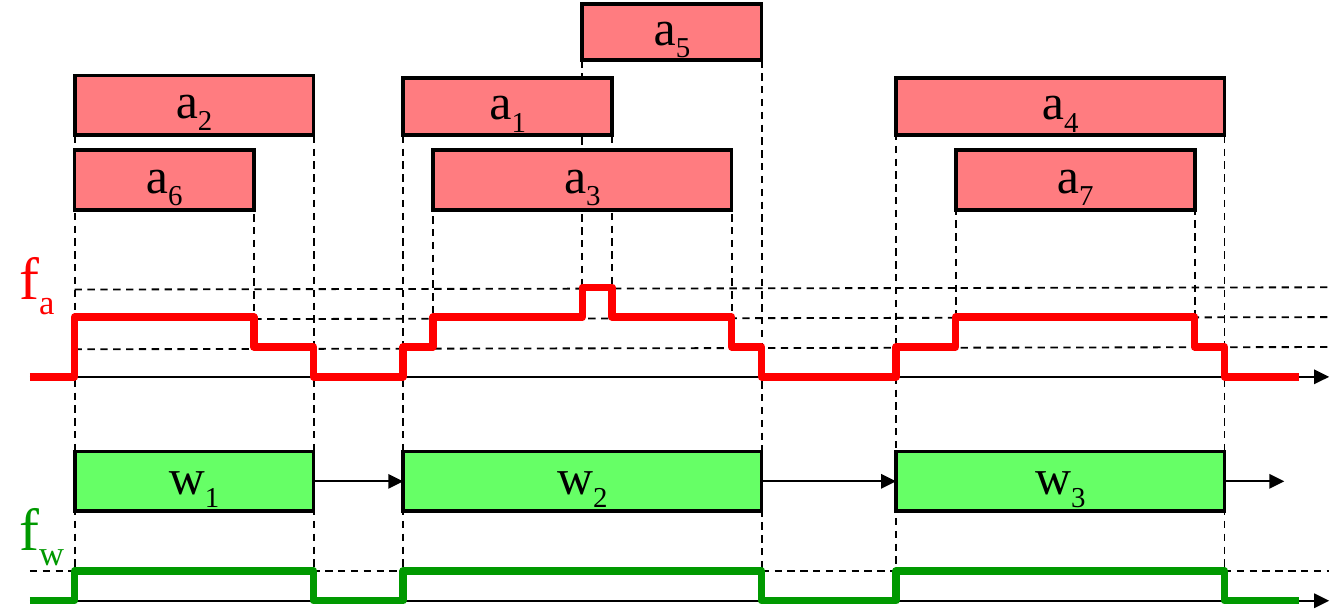
"""Draw activity intervals, their merged windows and the two counting functions."""
from dataclasses import dataclass

from lxml import etree
from pptx import Presentation
from pptx import util as u
from pptx.dml.color import RGBColor
from pptx.enum import dml, shapes, text
from pptx.oxml import ns

PX = 3810
FONT = "Times New Roman"
COLORS = {
    "ink": "000000",
    "activity": "FF7C80",
    "window": "66FF66",
    "activity_count": "FF0000",
    "window_count": "009900",
}
AXIS_START, SIGNAL_END, AXIS_END = 40, 1740, 1780
STEP = 40
ACTIVITY_AXIS, WINDOW_AXIS = 505, 805


@dataclass(frozen=True)
class Interval:
    letter: str
    index: str
    start: int
    end: int
    top: int
    height: int
    color: str


@dataclass(frozen=True)
class Signal:
    index: str
    intervals: list[Interval]
    axis: int
    color: str
    label_top: int
    label_width: int


ACTIVITIES = [
    Interval("a", index, start, end, top, height, "activity")
    for index, start, end, top, height in [
        ("1", 540, 820, 105, 76),
        ("2", 100, 420, 101, 80),
        ("3", 580, 980, 201, 80),
        ("4", 1200, 1640, 105, 76),
        ("5", 780, 1020, 5, 76),
        ("6", 100, 340, 201, 80),
        ("7", 1280, 1600, 201, 80),
    ]
]
WINDOWS = [
    Interval("w", index, start, end, 605, 80, "window")
    for index, start, end in [("1", 100, 420), ("2", 540, 1020), ("3", 1200, 1640)]
]
SIGNALS = [
    Signal("a", ACTIVITIES, ACTIVITY_AXIS, "activity_count", 309, 97),
    Signal("w", WINDOWS, WINDOW_AXIS, "window_count", 646, 108),
]
EDGE_TOPS = {
    100: 182, 340: 201, 420: 182, 540: 182, 580: 221, 780: 81, 820: 182,
    980: 201, 1020: 81, 1200: 161, 1280: 261, 1600: 261, 1640: 182,
}


def rgb(name: str) -> RGBColor:
    return RGBColor.from_string(COLORS[name])


def write_symbol(frame, letter: str, *, index: str, size: int, color: str,
                 align=text.PP_ALIGN.LEFT, anchor=text.MSO_ANCHOR.TOP,
                 fit=text.MSO_AUTO_SIZE.NONE, spacing: float = 1.0) -> None:
    frame.word_wrap = False
    frame.auto_size = fit
    frame.vertical_anchor = anchor
    paragraph = frame.paragraphs[0]
    paragraph.alignment = align
    paragraph.line_spacing = spacing
    for part, baseline in ((letter, 0), (index, -25000)):
        run = paragraph.add_run()
        run.text = part
        run.font.size = u.Pt(size)
        run.font.name = FONT
        run.font.color.rgb = rgb(color)
        if baseline:
            run.font._element.set("baseline", str(baseline))


def style_line(line, color: str, width: float, join: str):
    line.color.rgb = rgb(color)
    line.width = u.Pt(width)
    return etree.SubElement(line._get_or_add_ln(), ns.qn(f"a:{join}"))


def draw_line(slide, x1: int, y1: int, x2: int, y2: int, *,
              dashed: bool = False, arrow: bool = False):
    line = slide.shapes.add_connector(
        shapes.MSO_CONNECTOR.STRAIGHT, x1 * PX, y1 * PX, x2 * PX, y2 * PX)
    etree.SubElement(line._element.spPr, ns.qn("a:effectLst"))
    line.line.color.rgb = rgb("ink")
    line.line.width = u.Pt(0.75)
    if dashed:
        line.line.dash_style = dml.MSO_LINE.DASH
    if arrow:
        etree.SubElement(line.line._get_or_add_ln(), ns.qn("a:tailEnd"), type="triangle")
    return line


def draw_interval(slide, interval: Interval):
    bar = slide.shapes.add_shape(
        shapes.MSO_SHAPE.RECTANGLE, interval.start * PX, interval.top * PX,
        (interval.end - interval.start) * PX, interval.height * PX)
    bar.shadow.inherit = False
    bar.fill.solid()
    bar.fill.fore_color.rgb = rgb(interval.color)
    style_line(bar.line, "ink", 1.5, "miter").set("lim", "800000")
    write_symbol(bar.text_frame, interval.letter, index=interval.index, size=20,
                 color="ink", align=text.PP_ALIGN.CENTER,
                 anchor=text.MSO_ANCHOR.MIDDLE, spacing=0.65)
    return bar


def count_points(signal: Signal) -> list[tuple[int, int]]:
    edges = sorted({x for i in signal.intervals for x in (i.start, i.end)})
    points = [(AXIS_START, signal.axis)]
    for x in edges:
        active = sum(i.start <= x < i.end for i in signal.intervals)
        points += [(x, points[-1][1]), (x, signal.axis - STEP * active)]
    return points + [(SIGNAL_END, signal.axis)]


def draw_signal(slide, signal: Signal) -> None:
    draw_line(slide, AXIS_START, signal.axis, AXIS_END, signal.axis, arrow=True)
    start, *rest = count_points(signal)
    builder = slide.shapes.build_freeform(*start, scale=PX)
    builder.add_line_segments(rest, close=False)
    curve = builder.convert_to_shape()
    curve.shadow.inherit = False
    curve.fill.background()
    style_line(curve.line, signal.color, 3, "round")
    label = slide.shapes.add_textbox(
        2 * PX, signal.label_top * PX, signal.label_width * PX, 134 * PX)
    write_symbol(label.text_frame, "f", index=signal.index, size=24,
                 color=signal.color, fit=text.MSO_AUTO_SIZE.SHAPE_TO_FIT_TEXT)


def draw_guides(slide) -> None:
    window_edges = {x for w in WINDOWS for x in (w.start, w.end)}
    counts = count_points(SIGNALS[0])
    for x, top in EDGE_TOPS.items():
        peak = min(y for edge, y in counts if edge == x)
        bottom = WINDOW_AXIS if x in window_edges else peak
        draw_line(slide, x, top, x, bottom, dashed=True)
    for level in (1, 2, 3):
        y = ACTIVITY_AXIS - STEP * level
        draw_line(slide, 100, y + 3, AXIS_END, y, dashed=True)
    window_level = WINDOW_AXIS - STEP
    draw_line(slide, AXIS_START, window_level, AXIS_END, window_level, dashed=True)


def draw_windows(slide) -> None:
    bars = [draw_interval(slide, window) for window in WINDOWS]
    middle = WINDOWS[0].top + WINDOWS[0].height // 2
    targets = [w.start for w in WINDOWS[1:]] + [1720]
    for position, (window, target) in enumerate(zip(WINDOWS, targets)):
        arrow = draw_line(slide, window.end, middle, target, middle, arrow=True)
        arrow.begin_connect(bars[position], 3)
        if position + 1 < len(bars):
            arrow.end_connect(bars[position + 1], 1)


def main() -> None:
    deck = Presentation()
    deck.slide_width, deck.slide_height = 1800 * PX, 816 * PX
    slide = deck.slides.add_slide(deck.slide_layouts[6])
    draw_guides(slide)
    for activity in ACTIVITIES:
        draw_interval(slide, activity)
    draw_windows(slide)
    for signal in SIGNALS:
        draw_signal(slide, signal)
    deck.save("out.pptx")


if __name__ == "__main__":
    main()
